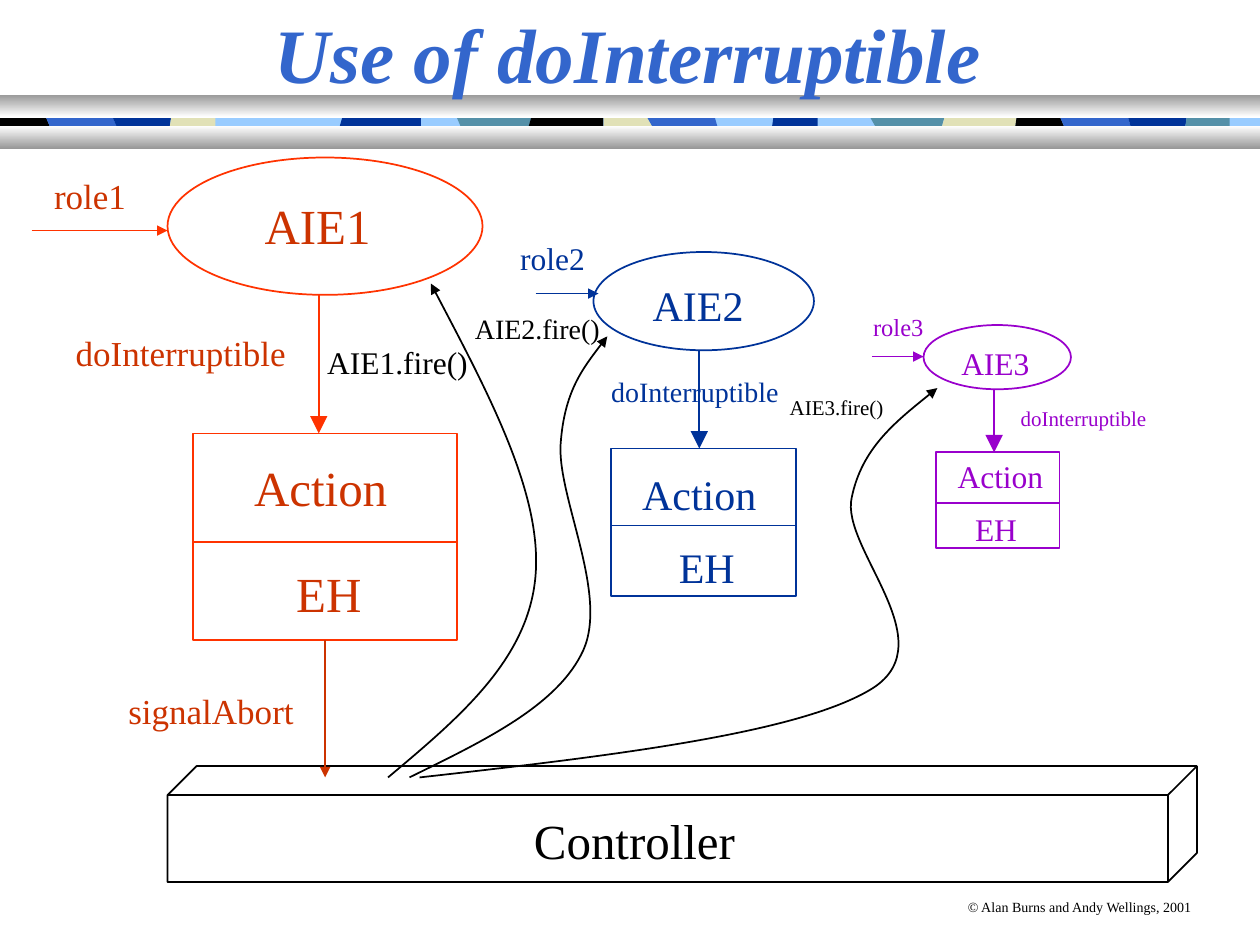
from lxml import etree
from pptx import Presentation
from pptx.dml.color import RGBColor
from pptx.enum.shapes import MSO_CONNECTOR, MSO_SHAPE
from pptx.enum.text import MSO_ANCHOR, MSO_AUTO_SIZE, PP_ALIGN
from pptx.oxml.ns import qn
from pptx.util import Pt

PX = 9144
STRAIGHT = MSO_CONNECTOR.STRAIGHT
RECT, OVAL, CUBE = MSO_SHAPE.RECTANGLE, MSO_SHAPE.OVAL, MSO_SHAPE.CUBE
MIDDLE, CENTER = MSO_ANCHOR.MIDDLE, PP_ALIGN.CENTER
NO_FIT, FIT_SHAPE = MSO_AUTO_SIZE.NONE, MSO_AUTO_SIZE.SHAPE_TO_FIT_TEXT

HEX = {
    "black": "000000", "white": "FFFFFF", "gray": "989898",
    "sky": "99CCFF", "blue": "3366CC", "navy": "003399",
    "teal": "5490A8", "cream": "E1E1B7",
    "orange": "FF3300", "rust": "CC3300", "purple": "9900CC",
}
RGB = {name: RGBColor.from_string(value) for name, value in HEX.items()}


def stroke(sp, color, head=None):
    sp.line.color.rgb = RGB[color]
    sp.line.width = Pt(1)
    if head:
        ln = sp.element.spPr.find(qn("a:ln"))
        etree.SubElement(ln, qn("a:tailEnd"), type="triangle", w=head, len=head)


def write(tf, text, size, color, frame, **extra):
    for key, value in {"vertical_anchor": MIDDLE, **frame}.items():
        setattr(tf, key, value)
    p = tf.paragraphs[0]
    p.alignment = CENTER
    r = p.add_run()
    r.text = text
    for key, value in {"name": "Times New Roman", "size": Pt(size), **extra}.items():
        setattr(r.font, key, value)
    r.font.color.rgb = RGB[color]


prs = Presentation()
prs.slide_width, prs.slide_height = 1000 * PX, 750 * PX
s = prs.slides.add_slide(prs.slide_layouts[5])

STRIPES = [
    ("sky", 3, 0, 1000, 0), ("sky", 201, 0, 275, 0), ("sky", 563, 0, 618, 0),
    ("black", 0, 0, 33, 12), ("blue", 33, 12, 86, 12),
    ("navy", 86, 12, 137, -4), ("cream", 137, -4, 171, 0),
    ("navy", 274, -8, 334, 0), ("teal", 359, 12, 424, -8),
    ("black", 424, -8, 479, 0), ("cream", 479, 0, 509, 16),
    ("blue", 509, 16, 565, 8), ("navy", 615, -4, 649, 0),
    ("teal", 686, 16, 752, -8), ("cream", 752, -8, 808, -4),
    ("black", 808, -4, 838, 12), ("blue", 838, 12, 893, 8),
    ("navy", 893, 8, 943, -4), ("teal", 943, -4, 976, 0),
]
for color, left, left_lean, right, right_lean in STRIPES:
    fb = s.shapes.build_freeform(left, 85, scale=PX)
    fb.add_line_segments([(right, 85), (right + right_lean, 113), (left + left_lean, 113)])
    sp = fb.convert_to_shape()
    sp.shadow.inherit = False
    sp.fill.solid()
    sp.fill.fore_color.rgb = RGB[color]
    sp.line.fill.background()

for top, colors in [(75, ("gray", "white")), (100, ("white", "gray"))]:
    sp = s.shapes.add_shape(RECT, 0, top * PX, 1000 * PX, 18 * PX)
    sp.shadow.inherit = False
    sp.line.fill.background()
    sp.fill.gradient()
    sp.fill.gradient_angle = 270
    for stop, color in zip(sp.fill.gradient_stops, colors):
        stop.color.rgb = RGB[color]

title = s.shapes.title
for key, value in {"left": 0, "top": 0, "width": 997, "height": 83}.items():
    setattr(title, key, value * PX)
TITLE_FRAME = {"word_wrap": True, "auto_size": NO_FIT}
write(title.text_frame, "Use of doInterruptible", 44, "blue", TITLE_FRAME, bold=True, italic=True)
title.element.getparent().append(title.element)

OUTLINES = [
    (CUBE, "black", 133, 608, 817, 92),
    (OVAL, "orange", 133, 125, 250, 109), (RECT, "orange", 153, 344, 210, 164),
    (OVAL, "navy", 471, 200, 175, 78), (RECT, "navy", 485, 356, 147, 117),
    (OVAL, "purple", 733, 258, 117, 51), (RECT, "purple", 743, 359, 98, 76),
]
for kind, color, *box in OUTLINES:
    sp = s.shapes.add_shape(kind, *(v * PX for v in box))
    sp.shadow.inherit = False
    sp.fill.background()
    stroke(sp, color)

LINES = [
    ("orange", 153, 430, 363, 430, None), ("orange", 253, 234, 253, 344, "lg"),
    ("orange", 25, 183, 133, 183, "med"), ("rust", 258, 508, 258, 617, "med"),
    ("navy", 485, 417, 632, 417, None), ("navy", 555, 278, 555, 356, "lg"),
    ("navy", 425, 233, 475, 233, "med"),
    ("purple", 743, 399, 841, 399, None), ("purple", 789, 309, 789, 359, "lg"),
    ("purple", 692, 283, 733, 283, "med"),
]
for color, *ends, head in LINES:
    sp = s.shapes.add_connector(STRAIGHT, *(v * PX for v in ends))
    stroke(sp, color, head)
    etree.SubElement(sp.element.spPr, qn("a:effectLst"))

FIRE_CURVES = [
    [(308, 617), (364, 570), (419, 524), (425, 458), (431, 393), (386, 309), (342, 225)],
    [(325, 617), (384, 588), (443, 560), (463, 516), (483, 471), (442, 394), (445, 352),
     (448, 311), (465, 289), (482, 267)],
    [(333, 617), (485, 600), (636, 582), (693, 546), (750, 509), (667, 435), (676, 395),
     (684, 356), (714, 332), (744, 308)],
]
for start, *points in FIRE_CURVES:
    fb = s.shapes.build_freeform(*start, scale=PX)
    fb.add_line_segments(points, close=False)
    sp = fb.convert_to_shape()
    sp.shadow.inherit = False
    sp.fill.background()
    stroke(sp, "black", "med")
    outline = sp.element.spPr.find(".//" + qn("a:path"))
    segments = outline.findall(qn("a:lnTo"))
    for i in range(0, len(segments), 3):
        bezier = etree.SubElement(outline, qn("a:cubicBezTo"))
        for segment in segments[i:i + 3]:
            bezier.append(segment[0])
            outline.remove(segment)

BOX_HEIGHT = {28: 57, 24: 50, 20: 44, 18: 40, 16: 37, 14: 34, 12: 30, 8: 24}
LABEL_FRAME = {"word_wrap": False, "auto_size": FIT_SHAPE,
               "margin_left": 7 * PX, "margin_right": 7 * PX}
LABELS = [
    ("© Alan Burns and Andy Wellings, 2001", 8, "black", 757, 708, 200),
    ("Controller", 28, "black", 414, 638, 179),
    ("AIE1", 28, "rust", 200, 150, 104),
    ("Action", 28, "rust", 192, 358, 125),
    ("EH", 28, "rust", 225, 442, 72),
    ("role1", 20, "rust", 33, 133, 77),
    ("doInterruptible", 20, "rust", 50, 258, 187),
    ("signalAbort", 20, "rust", 92, 542, 151),
    ("AIE1.fire()", 18, "black", 250, 267, 131),
    ("AIE2.fire()", 16, "black", 367, 242, 119),
    ("AIE3.fire()", 12, "black", 617, 308, 94),
    ("AIE2", 24, "navy", 508, 217, 92),
    ("Action", 24, "navy", 500, 367, 110),
    ("EH", 24, "navy", 529, 425, 64),
    ("role2", 18, "navy", 403, 185, 71),
    ("doInterruptible", 16, "navy", 475, 292, 153),
    ("AIE3", 18, "purple", 753, 268, 74),
    ("Action", 18, "purple", 750, 358, 88),
    ("EH", 18, "purple", 764, 400, 53),
    ("role3", 14, "purple", 683, 242, 60),
    ("doInterruptible", 12, "purple", 800, 317, 120),
]
for text, size, color, left, top, width in LABELS:
    sp = s.shapes.add_textbox(left * PX, top * PX, width * PX, BOX_HEIGHT[size] * PX)
    write(sp.text_frame, text, size, color, LABEL_FRAME)

prs.save("out.pptx")
